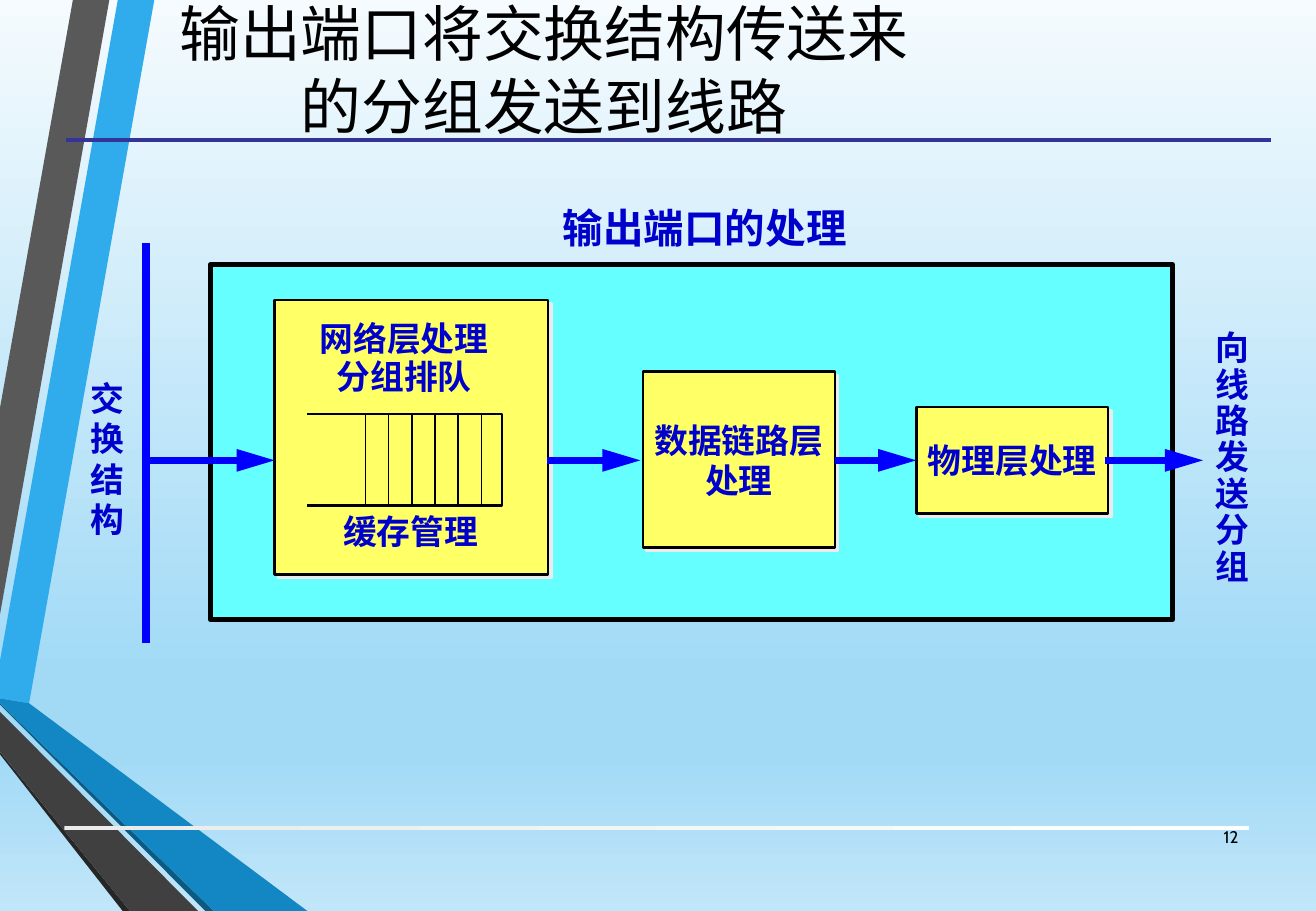
from lxml import etree
from pptx import Presentation
from pptx import util as u
from pptx.dml.color import RGBColor
from pptx.enum import shapes as kinds, text as txt
from pptx.oxml.ns import qn

PX = 9144  # one px is a hundredth of an inch
BLACK = RGBColor(0x00, 0x00, 0x00)
NAVY = RGBColor(0x33, 0x33, 0x99)
LABEL_BLUE = RGBColor(0x00, 0x00, 0xCC)
ARROW_BLUE = RGBColor(0x00, 0x00, 0xFF)
CYAN = RGBColor(0x66, 0xFF, 0xFF)
YELLOW = RGBColor(0xFF, 0xFF, 0x66)
SHADOW_GREY = RGBColor(0xEB, 0xEB, 0xEB)
SKY = RGBColor(0x30, 0xAC, 0xEC)
OCEAN = RGBColor(0x12, 0x87, 0xC3)
DEEP = RGBColor(0x0C, 0x5A, 0x82)
GREY = RGBColor(0x59, 0x59, 0x59)
DARK_GREY = RGBColor(0x40, 0x40, 0x40)
CHARCOAL = RGBColor(0x26, 0x26, 0x26)
BACKDROP = [(0, RGBColor(0xF5, 0xFB, 0xFE)), (74, RGBColor(0xA2, 0xDA, 0xF6)),
            (83, RGBColor(0xA2, 0xDA, 0xF6)), (100, RGBColor(0xC1, 0xE6, 0xF9))]
FOOTER_FADE = [(0, SHADOW_GREY), (100, RGBColor(0xFF, 0xFF, 0xFF))]

prs = Presentation()
prs.slide_width, prs.slide_height = 1083 * PX, 750 * PX
slide = prs.slides.add_slide(prs.slide_layouts[5])
shapes = slide.shapes


def write(frame, content, size, color=LABEL_BLUE, bold=True, spacing=1.0,
          align=txt.PP_ALIGN.CENTER, anchor=txt.MSO_ANCHOR.MIDDLE, wrap=False):
    frame.text = content
    frame.auto_size = txt.MSO_AUTO_SIZE.NONE
    frame.word_wrap, frame.vertical_anchor = wrap, anchor
    for paragraph in frame.paragraphs:
        paragraph.alignment, paragraph.line_spacing = align, spacing
        look = {"name": "Cabin", "size": u.Pt(size), "bold": bold}
        for key, value in look.items():
            setattr(paragraph.font, key, value)
        paragraph.font.color.rgb = color


def draw_line(x1, y1, x2, y2, color, width, arrow=False):
    line = shapes.add_connector(kinds.MSO_CONNECTOR.STRAIGHT,
                                x1 * PX, y1 * PX, x2 * PX, y2 * PX)
    line.line.color.rgb, line.line.width = color, u.Pt(width)
    if arrow:
        etree.SubElement(line.line._get_or_add_ln(), qn("a:tailEnd"),
                         type="triangle", w="med", len="lg")
    etree.SubElement(line._element.spPr, qn("a:effectLst"))


# Side stripes
stripes = [
    (SKY, [(0, 544), (0, 575), (24, 579), (127, 0), (97, 0)]),
    (GREY, [(90, 0), (60, 0), (0, 336), (0, 506)]),
    (CHARCOAL, [(0, 619), (0, 621), (101, 750), (107, 750)]),
    (DEEP, [(0, 579), (0, 580), (169, 750), (176, 750)]),
    (OCEAN, [(0, 579), (176, 750), (253, 750), (24, 579), (0, 575)]),
    (DARK_GREY, [(0, 619), (107, 750), (163, 750), (0, 586)]),
]
for color, points in stripes:
    outline = shapes.build_freeform(*points[0], scale=PX)
    outline.add_line_segments(points[1:], close=True)
    stripe = outline.convert_to_shape()
    stripe.shadow.inherit = False
    stripe.fill.solid()
    stripe.fill.fore_color.rgb = color
    stripe.line.fill.background()

# Footer bar and backdrop gradients
footer_bar = shapes.add_shape(kinds.MSO_SHAPE.RECTANGLE,
                              53 * PX, 680 * PX, 975 * PX, 3 * PX)
footer_bar.shadow.inherit = False
footer_bar.line.fill.background()
for fill, owner, angle, stops in [
        (slide.background.fill, slide._element.cSld, 270, BACKDROP),
        (footer_bar.fill, footer_bar._element, 0, FOOTER_FADE)]:
    fill.gradient()
    fill.gradient_angle = angle
    stop_list = owner.find(".//" + qn("a:gsLst"))
    for old_stop in list(stop_list):
        stop_list.remove(old_stop)
    for position, color in stops:
        stop = etree.SubElement(stop_list, qn("a:gs"), pos=str(position * 1000))
        etree.SubElement(stop, qn("a:srgbClr"), val=str(color))

# Title and its rule
title = shapes.title
place = {"left": 54, "top": 13, "width": 787, "height": 87}
for key, value in place.items():
    setattr(title, key, value * PX)
write(title.text_frame, "输出端口将交换结构传送来\v的分组发送到线路", 36,
      color=BLACK, bold=False, wrap=True)
draw_line(54, 115, 1046, 115, NAVY, 2.25)

# Output port and the processing stages inside it
stages = [
    ((173, 218, 792, 292), CYAN, 3, ""),
    ((754, 335, 158, 88), YELLOW, 1.5, "物理层处理"),
    ((529, 306, 158, 145), YELLOW, 1.5, "数据链路层\n处理"),
    ((226, 247, 225, 226), YELLOW, 1.5, ""),
]
for box, color, border, label in stages:
    stage = shapes.add_shape(kinds.MSO_SHAPE.RECTANGLE, *(n * PX for n in box))
    stage.shadow.inherit = False
    stage.fill.solid()
    stage.fill.fore_color.rgb = color
    stage.line.color.rgb, stage.line.width = BLACK, u.Pt(border)
    if color == YELLOW:
        effects = stage._element.spPr.find(qn("a:effectLst"))
        shadow = etree.SubElement(effects, qn("a:outerShdw"), dist=str(u.Pt(2.8)),
                                  dir="2700000", algn="ctr", rotWithShape="0")
        etree.SubElement(shadow, qn("a:srgbClr"), val=str(SHADOW_GREY))
    if label:
        write(stage.text_frame, label, 20)

# Packet flow from the switching fabric to the line
for start, end in [(909, 990), (687, 754), (450, 527), (120, 226)]:
    draw_line(start, 379, end, 379, ARROW_BLUE, 4.5, arrow=True)
draw_line(120, 200, 120, 529, ARROW_BLUE, 4.5)

# Packet queue, open on the left
outline = shapes.build_freeform(253, 341, scale=PX)
outline.add_line_segments([(413, 341), (413, 416), (253, 416)], close=False)
queue = outline.convert_to_shape()
queue.shadow.inherit = False
queue.fill.background()
queue.line.color.rgb, queue.line.width = BLACK, u.Pt(1.5)
for slot in range(6):
    x = 301 + 19 * slot
    draw_line(x, 341, x, 416, BLACK, 0.75)

# Labels
labels = [
    ((252, 259, 161, 74), "网络层处理\n分组排队", 20, 0.95),
    ((442, 162, 276, 50), "输出端口的处理", 24, 1.0),
    ((990, 268, 48, 222), "\n".join("向线路发送分组"), 20, 0.9),
    ((272, 416, 132, 44), "缓存管理", 20, 1.0),
    ((64, 306, 48, 145), "\n".join("交换结构"), 20, 1.0),
]
for box, label, size, spacing in labels:
    caption = shapes.add_textbox(*(n * PX for n in box))
    write(caption.text_frame, label, size, spacing=spacing,
          anchor=txt.MSO_ANCHOR.TOP)

# Page number
page_number = shapes.add_textbox(980 * PX, 669 * PX, 49 * PX, 40 * PX)
write(page_number.text_frame, "12", 10, color=BLACK, bold=False,
      align=txt.PP_ALIGN.RIGHT, wrap=True)

prs.save("out.pptx")
